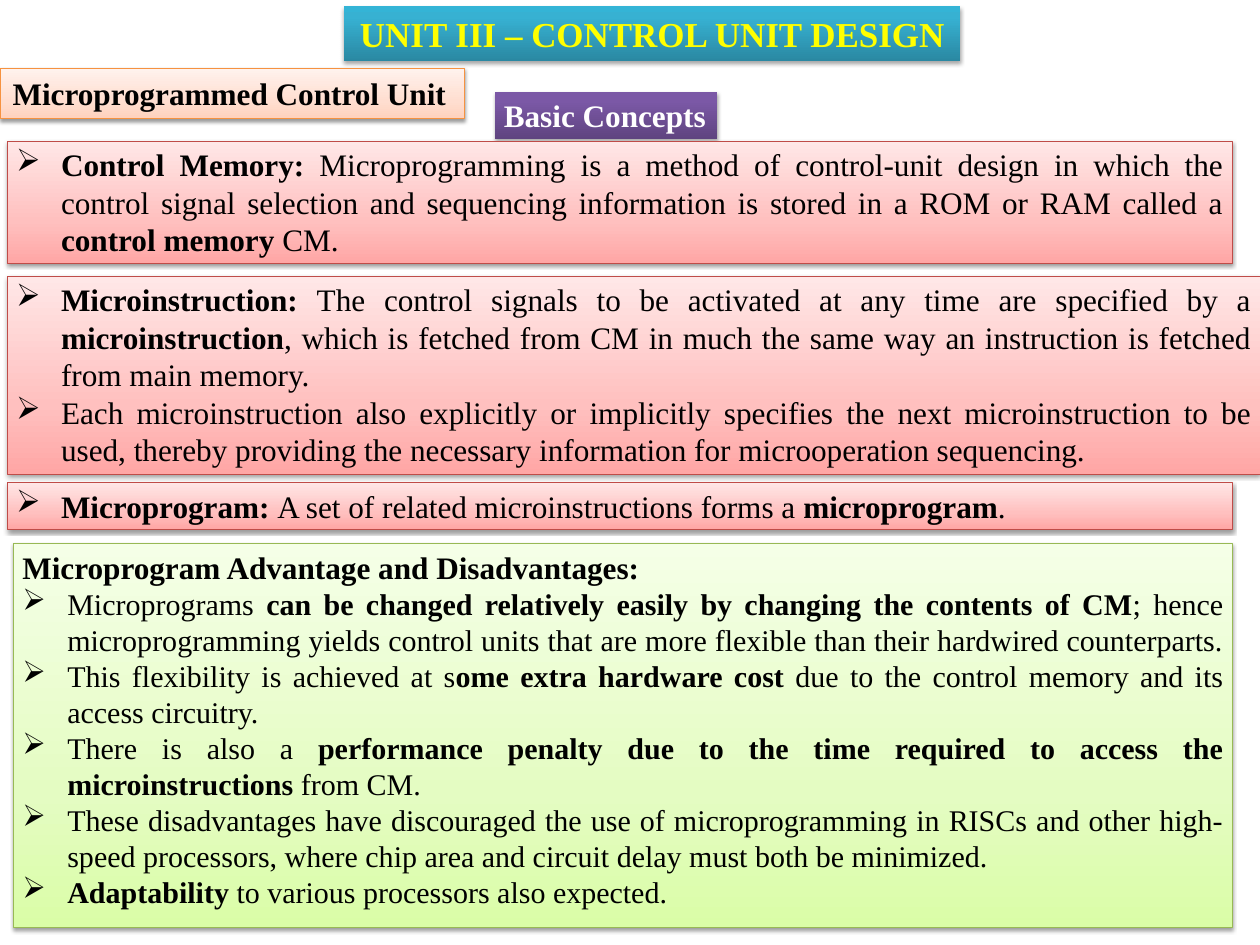
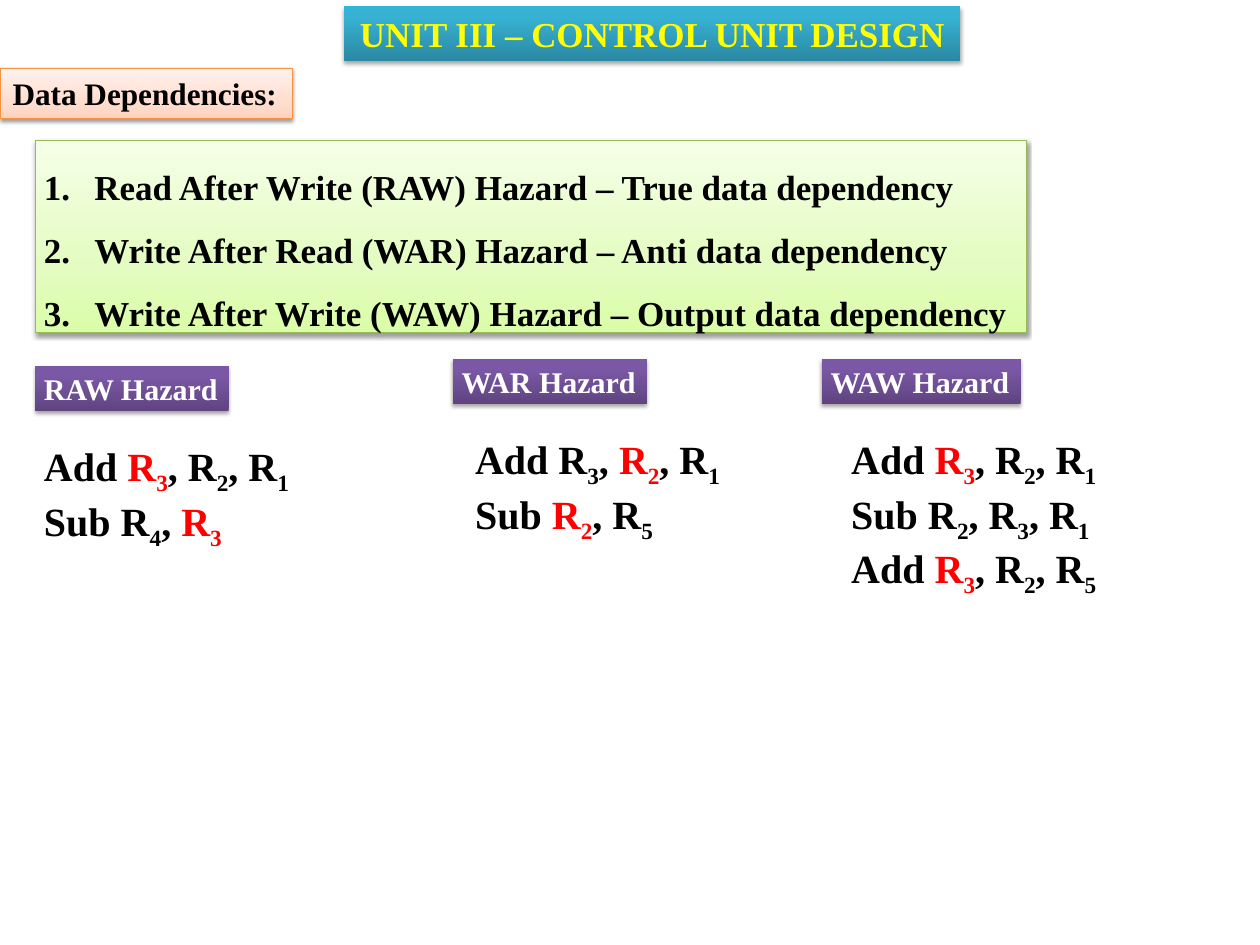
from lxml import etree
from pptx import Presentation
from pptx import util as u
from pptx.dml import color
from pptx.enum import shapes, text
from pptx.oxml import ns

FONT = "Times New Roman"
BLACK, WHITE, RED, YELLOW = "000000", "FFFFFF", "FF0000", "FFFF00"
LEFT, CENTER, JUSTIFY = text.PP_ALIGN.LEFT, text.PP_ALIGN.CENTER, text.PP_ALIGN.JUSTIFY
# fill stops from bottom to top, then the outline
PEACH = ([(0, "FFD2BD"), (35, "FFDED0"), (100, "FFF2ED")], "F69240")
PINK = ([(0, "FFA6A5"), (35, "FFC0BF"), (100, "FFE7E7")], "BF4C48")
GREEN = ([(0, "DAFDA7"), (35, "E4FCC2"), (100, "F5FFE7")], "98B955")
TEAL = ([(0, "2A88A2"), (80, "37B1D2"), (100, "34B4D6")], None)
PURPLE = ([(0, "5F4480"), (80, "7B58A6"), (100, "7C57A8")], None)


def rgb(value):
    return color.RGBColor.from_string(value)


def sub(parent, tag, **attrs):
    return etree.SubElement(parent, ns.qn(tag), {k: str(v) for k, v in attrs.items()})


def add_shadow(sp, outlined):
    sp.shadow.inherit = False
    effects = sp._element.spPr.find(ns.qn("a:effectLst"))
    shadow = sub(effects, "a:outerShdw", blurRad=40000, dist=20000 if outlined else 23000,
                 dir=5400000, rotWithShape=0)
    clr = sub(shadow, "a:srgbClr", val=BLACK)
    sub(clr, "a:alpha", val=38000 if outlined else 35000)


def fill_gradient(sp, stops):
    sp.fill.gradient()
    sp.fill.gradient_angle = 90
    gs_list = sp._element.spPr.find(ns.qn("a:gradFill")).find(ns.qn("a:gsLst"))
    for gs in list(gs_list):
        gs_list.remove(gs)
    for pos, value in stops:
        sub(sub(gs_list, "a:gs", pos=pos * 1000), "a:srgbClr", val=value)


def setup_frame(sp, wrap, inset=(0.1, 0.05)):
    tf = sp.text_frame
    tf.word_wrap = wrap
    tf.auto_size = text.MSO_AUTO_SIZE.SHAPE_TO_FIT_TEXT
    tf.vertical_anchor = text.MSO_ANCHOR.TOP
    tf.margin_left = tf.margin_right = u.Inches(inset[0])
    tf.margin_top = tf.margin_bottom = u.Inches(inset[1])
    return tf


def add_box(s, at, theme, wrap=False, inset=(0.1, 0.05)):
    stops, outline = theme
    sp = s.shapes.add_shape(shapes.MSO_SHAPE.RECTANGLE, *map(u.Inches, at))
    fill_gradient(sp, stops)
    if outline:
        sp.line.color.rgb = rgb(outline)
        sp.line.width = u.Pt(0.75)
    else:
        sp.line.fill.background()
    add_shadow(sp, outline is not None)
    return setup_frame(sp, wrap, inset)


def add_paragraph(tf, align=LEFT):
    p = tf.paragraphs[0]
    if p.runs:
        p = tf.add_paragraph()
    p.alignment = align
    return p


def add_run(p, words, size, bold=True, ink=BLACK, subscript=False):
    r = p.add_run()
    r.text = words
    r.font.name = FONT
    r.font.size = u.Pt(size)
    r.font.bold = bold
    r.font.color.rgb = rgb(ink)
    if subscript:
        r._r.get_or_add_rPr().set("baseline", "-25000")


def hang(p, indent, bullet=None, **attrs):
    pPr = p._p.get_or_add_pPr()
    pPr.set("marL", str(u.Inches(indent)))
    pPr.set("indent", str(-u.Inches(indent)))
    if bullet:
        sub(pPr, bullet, **attrs)


def add_label(s, at, theme, words, size, ink=BLACK, align=LEFT, inset=(0.1, 0.05)):
    tf = add_box(s, at, theme, inset=inset)
    add_run(add_paragraph(tf, align), words, size, ink=ink)


def add_bullets(tf, items, size):
    for item in items:
        p = add_paragraph(tf, JUSTIFY)
        hang(p, 0.5, "a:buChar", char="➢")
        for i, words in enumerate(item.split("*")):
            if words:
                add_run(p, words, size, bold=i % 2 == 1)


def add_numbered(tf, items, size):
    for item in items:
        p = add_paragraph(tf)
        p.line_spacing = 1.5
        hang(p, 0.56, "a:buAutoNum", type="arabicPeriod")
        add_run(p, item, size)


def add_code(s, at, lines):
    tf = setup_frame(s.shapes.add_textbox(*map(u.Inches, at)), False)
    for operation, registers, hot in lines:
        p = add_paragraph(tf)
        for i, register in enumerate(registers.split()):
            ink = RED if register == hot else BLACK
            add_run(p, ", " if i else operation + " ", 32)
            add_run(p, register[0], 32, ink=ink)
            add_run(p, register[1:], 32, ink=ink, subscript=True)


def add_slide(prs, topic, topic_width):
    s = prs.slides.add_slide(prs.slide_layouts[6])
    add_label(s, (3.82, 0.07, 6.85, 0.61), TEAL, "UNIT III – CONTROL UNIT DESIGN", 28,
              YELLOW, CENTER, (0.14, 0.07))
    add_label(s, (0, 0.76, topic_width, 0.56), PEACH, topic, 25, inset=(0.14, 0.07))
    return s


def add_concepts_slide(prs):
    s = add_slide(prs, "Microprogrammed Control Unit", 5.16)
    add_label(s, (5.5, 1.02, 2.47, 0.52), PURPLE, "Basic Concepts", 25, WHITE)
    definitions = [
        (1.57, 13.61, 1.36, [
            "*Control Memory: *Microprogramming is a method of control-unit design in which the "
            "control signal selection and sequencing information is stored in a ROM or RAM "
            "called a *control memory *CM."]),
        (3.07, 13.92, 2.2, [
            "*Microinstruction: *The control signals to be activated at any time are specified "
            "by a *microinstruction*, which is fetched from CM in much the same way an "
            "instruction is fetched from main memory. ",
            "Each microinstruction also explicitly or implicitly specifies the next "
            "microinstruction to be used, thereby providing the necessary information for "
            "microoperation sequencing."]),
        (5.36, 13.61, 0.52, [
            "*Microprogram: *A set of related microinstructions forms a *microprogram*."]),
    ]
    for top, width, height, items in definitions:
        add_bullets(add_box(s, (0.08, top, width, height), PINK, wrap=True), items, 25)

    tf = add_box(s, (0.15, 6.04, 13.54, 4.27), GREEN, wrap=True)
    p = add_paragraph(tf, JUSTIFY)
    hang(p, 0.5)
    add_run(p, "Microprogram Advantage and Disadvantages:", 25)
    add_bullets(tf, [
        "Microprograms *can be changed relatively easily by changing the contents of CM*; hence "
        "microprogramming yields control units that are more flexible than their hardwired "
        "counterparts. ",
        "This flexibility is achieved at s*ome extra hardware cost *due to the control memory "
        "and its access circuitry. ",
        "There is also a *performance penalty due to the time required to access the "
        "microinstructions *from CM. ",
        "These disadvantages have discouraged the use of microprogramming in RISCs and other "
        "high-speed processors, where chip area and circuit delay must both be minimized.",
        "*Adaptability *to various processors also expected."], 24)


def add_hazards_slide(prs):
    s = add_slide(prs, "Data Dependencies:", 3.25)
    add_numbered(add_box(s, (0.39, 1.56, 11.02, 2.14), GREEN), [
        "Read After Write (RAW) Hazard – True data dependency",
        "Write After Read (WAR) Hazard – Anti data dependency",
        "Write After Write (WAW) Hazard – Output data dependency"], 28)
    hazards = [
        ("RAW Hazard", 0.39, 4.07, 2.15, 0.39,
         [("Add", "R3 R2 R1", "R3"), ("Sub", "R4 R3", "R3")]),
        ("WAR Hazard", 5.03, 3.99, 2.16, 5.18,
         [("Add", "R3 R2 R1", "R2"), ("Sub", "R2 R5", "R2")]),
        ("WAW Hazard", 9.13, 3.99, 2.21, 9.36,
         [("Add", "R3 R2 R1", "R3"), ("Sub", "R2 R3 R1", None), ("Add", "R3 R2 R5", "R3")]),
    ]
    for name, left, top, width, code_left, lines in hazards:
        add_label(s, (left, top, width, 0.5), PURPLE, name, 24, WHITE)
        add_code(s, (code_left, top + 0.79, 3.01, 0.1 + 0.54 * len(lines)), lines)


def main():
    prs = Presentation()
    prs.slide_width, prs.slide_height = u.Inches(14), u.Inches(10.5)
    add_concepts_slide(prs)
    add_hazards_slide(prs)
    prs.save("out.pptx")


if __name__ == "__main__":
    main()
